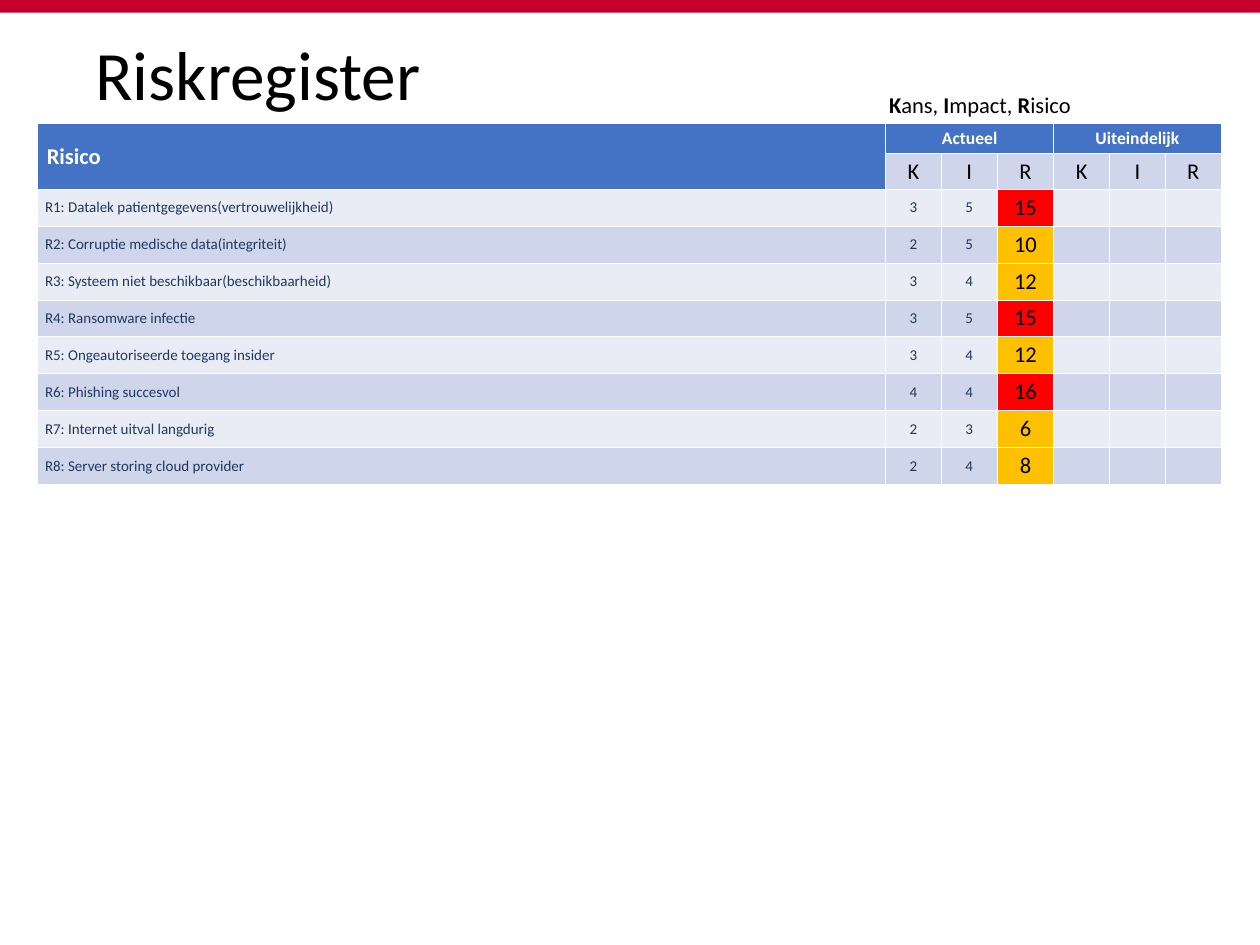
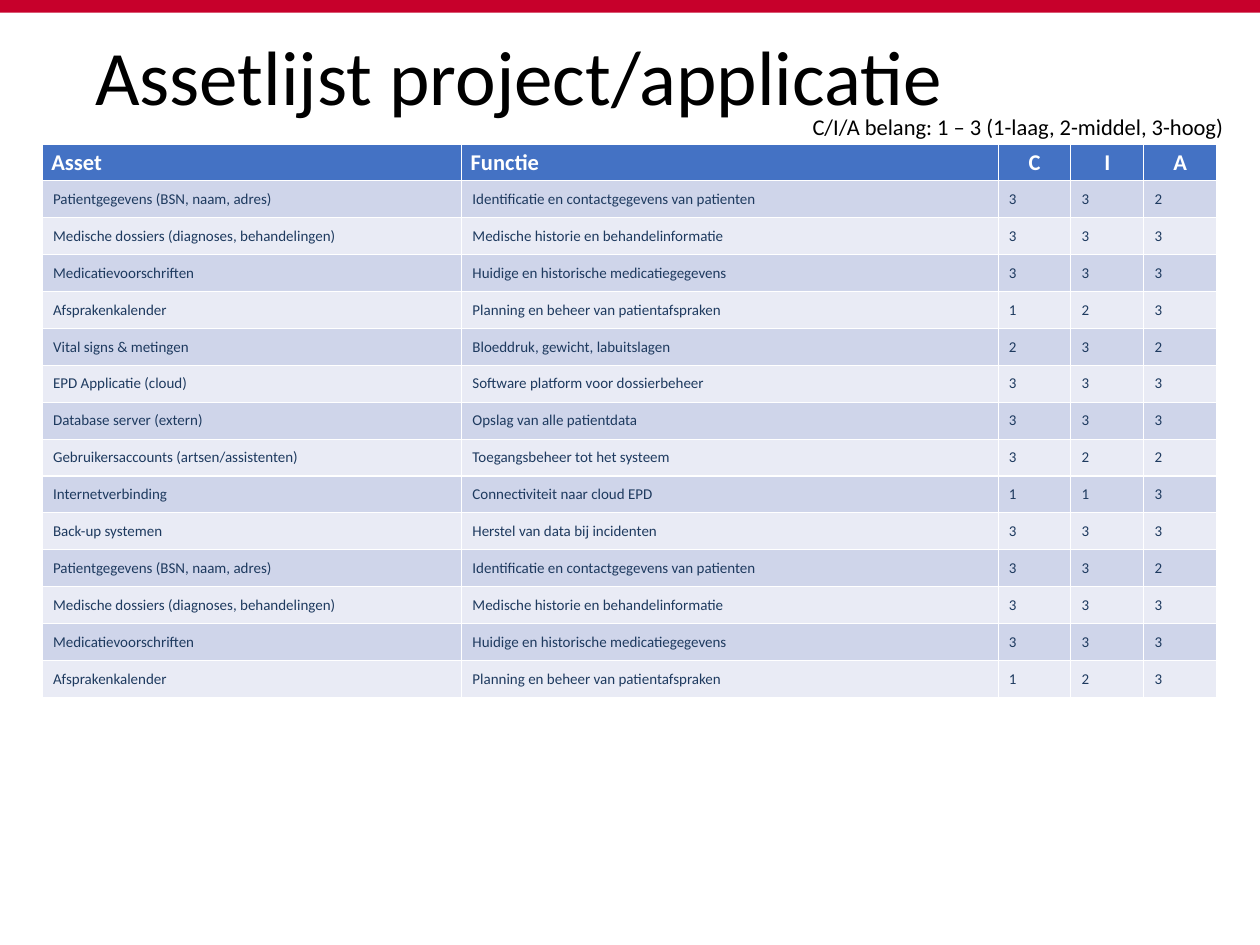
from pptx import Presentation, util as u
from pptx.dml.color import RGBColor
from pptx.enum import shapes, text

FONT = "Calibri"
RED, BLUE, NAVY = "C7002B", "4472C4", "1E3A5F"
WHITE, BLACK = "FFFFFF", "000000"
BANDS = ["E9EBF5", "CFD5EA"]
HIGH, MID = "FF0000", "FFC000"
LEFT, CENTER = text.PP_ALIGN.LEFT, text.PP_ALIGN.CENTER
MIDDLE = text.MSO_ANCHOR.MIDDLE


def style(para, size, color, bold=False, align=LEFT):
    para.alignment = align
    for run in para.runs:
        font = run.font
        font.name, font.size, font.bold = FONT, u.Pt(size), bold
        font.color.rgb = RGBColor.from_string(color)


def put(cell, words, size, color, bold=False, align=LEFT, pad=None):
    """Write a cell; pad is its side and top inset, and centres it vertically."""
    cell.text_frame.text = words
    style(cell.text_frame.paragraphs[0], size, color, bold, align)
    if pad:
        side, top = map(u.Inches, pad)
        cell.margin_left = cell.margin_right = side
        cell.margin_top = cell.margin_bottom = top
        cell.vertical_anchor = MIDDLE


risks = [
    ("R1: Datalek patientgegevens(vertrouwelijkheid)", 3, 5),
    ("R2: Corruptie medische data(integriteit)", 2, 5),
    ("R3: Systeem niet beschikbaar(beschikbaarheid)", 3, 4),
    ("R4: Ransomware infectie", 3, 5),
    ("R5: Ongeautoriseerde toegang insider", 3, 4),
    ("R6: Phishing succesvol", 4, 4),
    ("R7: Internet uitval langdurig", 2, 3),
    ("R8: Server storing cloud provider", 2, 4),
]

assets = [
    ("Patientgegevens (BSN, naam, adres)", "Identificatie en contactgegevens van patienten", "332"),
    ("Medische dossiers (diagnoses, behandelingen)", "Medische historie en behandelinformatie", "333"),
    ("Medicatievoorschriften", "Huidige en historische medicatiegegevens", "333"),
    ("Afsprakenkalender", "Planning en beheer van patientafspraken", "123"),
    ("Vital signs & metingen", "Bloeddruk, gewicht, labuitslagen", "232"),
    ("EPD Applicatie (cloud)", "Software platform voor dossierbeheer", "333"),
    ("Database server (extern)", "Opslag van alle patientdata", "333"),
    ("Gebruikersaccounts (artsen/assistenten)", "Toegangsbeheer tot het systeem", "322"),
    ("Internetverbinding", "Connectiviteit naar cloud EPD", "113"),
    ("Back-up systemen", "Herstel van data bij incidenten", "333"),
]
assets += assets[:4]  # the list starts over with its first four

# title, size, title place, note parts, note place, table corner, columns, rows, header rows
pages = [
    ("Riskregister", 55.4, (0.96, 0.56, 12.07, 0.61),
     ["K", "ans, ", "I", "mpact, ", "R", "isico"], (9.78, 0.96, 2.36, 0.4),
     (0.42, 1.37), [9.42] + [0.62, 0.62, 0.63] + [0.62] * 3,
     [0.2] * 2 + [0.41] * len(risks), 1),
    ("Assetlijst project/applicatie", 61.6, (0.96, 0.32, 12.07, 1.14),
     ["C/I/A belang: 1 – 3 (1-laag, 2-middel, 3-hoog)"], (8.93, 1.21, 4.8, 0.4),
     (0.47, 1.61), [4.66, 5.96] + [0.81] * 3,
     [0.16] + [0.41] * len(assets), 1),
]

prs = Presentation()
prs.slide_width, prs.slide_height = u.Inches(14), u.Inches(10.5)
grids = []

for title, size, spot, parts, place, corner, cols, rows, heads in pages:
    slide = prs.slides.add_slide(prs.slide_layouts[6])

    band = slide.shapes.add_shape(shapes.MSO_SHAPE.RECTANGLE, 0, 0, prs.slide_width, u.Inches(0.14))
    band.shadow.inherit = False
    band.fill.solid()
    band.fill.fore_color.rgb = RGBColor.from_string(RED)
    band.line.fill.background()

    frame = slide.shapes.add_textbox(*map(u.Inches, spot)).text_frame
    frame.word_wrap = True
    frame.vertical_anchor = MIDDLE
    frame.text = title
    frame.paragraphs[0].line_spacing = 0.9
    style(frame.paragraphs[0], size, BLACK)

    box = (*corner, sum(cols), sum(rows))
    grid = slide.shapes.add_table(len(rows), len(cols), *map(u.Inches, box)).table
    for col, width in zip(grid.columns, cols):
        col.width = u.Inches(width)
    for r, height in enumerate(rows):
        grid.rows[r].height = u.Inches(height)
        for cell in grid.rows[r].cells:
            cell.fill.solid()
            tint = BLUE if r < heads else BANDS[r % 2]
            cell.fill.fore_color.rgb = RGBColor.from_string(tint)
    grids.append(grid)

    frame = slide.shapes.add_textbox(*map(u.Inches, place)).text_frame
    frame.word_wrap = True
    note = frame.paragraphs[0]
    for part in parts:
        note.add_run().text = part
    style(note, 18, BLACK)
    for run in note.runs:
        run.font.bold = len(run.text) == 1  # initials stand out

risk, asset = grids

# Risk register: two-row header, then chance x impact = risk
risk.cell(0, 0).merge(risk.cell(1, 0))
put(risk.cell(0, 0), "Risico", 18, WHITE, True)
risk.cell(0, 0).vertical_anchor = MIDDLE
for c, phase in [(1, "Actueel"), (4, "Uiteindelijk")]:
    risk.cell(0, c).merge(risk.cell(0, c + 2))
    put(risk.cell(0, c), phase, 14, WHITE, True, CENTER)
    for step, mark in enumerate("KIR"):
        put(risk.cell(1, c + step), mark, 18, BLACK, False, CENTER)

for r, (name, chance, impact) in enumerate(risks, 2):
    put(risk.cell(r, 0), name, 12, NAVY, pad=(0.08, 0.08))
    for c, value in enumerate((chance, impact), 1):
        put(risk.cell(r, c), str(value), 12, NAVY, align=CENTER, pad=(0.08, 0.08))
    score = chance * impact
    put(risk.cell(r, 3), str(score), 18, BLACK, align=CENTER)
    risk.cell(r, 3).fill.fore_color.rgb = RGBColor.from_string(HIGH if score >= 15 else MID)

# Asset list
for c, head in enumerate(["Asset", "Functie", "C", "I", "A"]):
    put(asset.cell(0, c), head, 18, WHITE, True, CENTER if c > 1 else LEFT)
for r, (name, role, marks) in enumerate(assets, 1):
    for c, words in enumerate([name, role, *marks]):
        put(asset.cell(r, c), words, 12, NAVY, pad=(0.12, 0.1))

prs.save("out.pptx")
